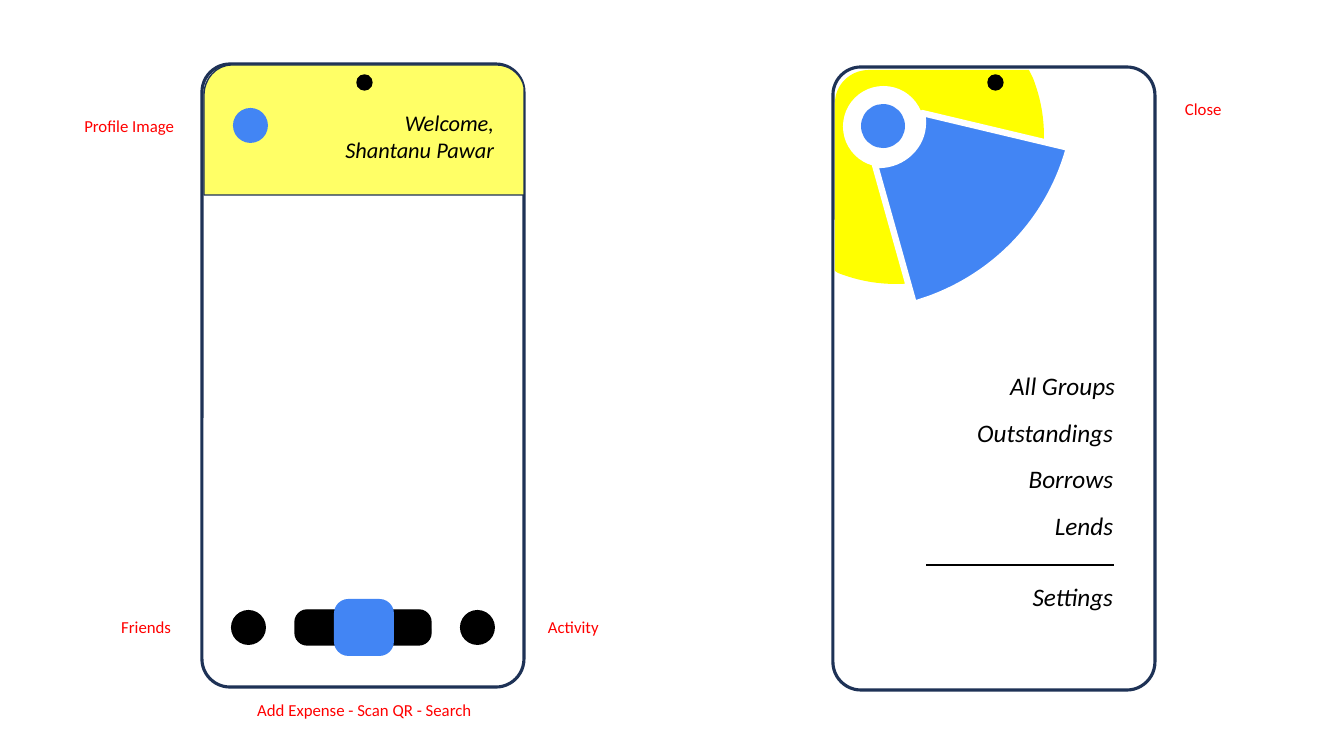
from dataclasses import dataclass

from lxml import etree
from pptx import Presentation
from pptx import util as u
from pptx.dml import color
from pptx.enum import shapes, text
from pptx.oxml import ns

EMU_PER_PX = 12192000 / 1344


def px(value):
    return u.Emu(round(value * EMU_PER_PX))


@dataclass(frozen=True)
class Theme:
    font: str = "Calibri"
    navy: str = "1E3256"
    blue: str = "4285F4"
    header: str = "FFFF66"
    fan: str = "FFFF00"
    black: str = "000000"
    white: str = "FFFFFF"
    red: str = "FF0000"
    note_size: int = 12
    welcome_size: int = 16
    menu_size: int = 18


class Wireframe:
    """Draws the elements of one slide; all lengths are in px."""

    def __init__(self, slide, theme):
        self.slide = slide
        self.theme = theme

    def paint(self, shape, fill, line=None, weight=1):
        shape.shadow.inherit = False
        shape.fill.solid()
        shape.fill.fore_color.rgb = color.RGBColor.from_string(fill)
        if line:
            shape.line.color.rgb = color.RGBColor.from_string(line)
            shape.line.width = u.Pt(weight)
        else:
            shape.line.fill.background()

    def circle(self, left, top, size, fill, line=None):
        shape = self.slide.shapes.add_shape(
            shapes.MSO_SHAPE.OVAL, px(left), px(top), px(size), px(size))
        self.paint(shape, fill, line)

    def rounded(self, left, top, width, height, radius, fill, line=None, weight=1):
        shape = self.slide.shapes.add_shape(
            shapes.MSO_SHAPE.ROUNDED_RECTANGLE,
            px(left), px(top), px(width), px(height))
        shape.adjustments[0] = radius
        self.paint(shape, fill, line, weight)

    def outline(self, start, segments, fill, line=None, weight=1):
        """A segment is (x, y) for a line or six numbers for a Bezier curve."""
        builder = self.slide.shapes.build_freeform(*map(px, start))
        builder.add_line_segments(
            [tuple(map(px, segment[-2:])) for segment in segments], close=True)
        shape = builder.convert_to_shape()
        # Turn the straight segments that stand for curves into Beziers
        straight = list(shape._element.iter(ns.qn("a:lnTo")))
        for element, segment in zip(straight, segments):
            if len(segment) == 6:
                curve = etree.Element(ns.qn("a:cubicBezTo"))
                for x, y in zip(segment[::2], segment[1::2]):
                    etree.SubElement(curve, ns.qn("a:pt"),
                                     x=str(px(x) - shape.left), y=str(px(y) - shape.top))
                element.getparent().replace(element, curve)
        self.paint(shape, fill, line, weight)

    def rule(self, start, end, line, weight):
        connector = self.slide.shapes.add_connector(
            shapes.MSO_CONNECTOR.STRAIGHT, *map(px, start + end))
        connector.line.color.rgb = color.RGBColor.from_string(line)
        connector.line.width = u.Pt(weight)
        etree.SubElement(connector._element.spPr, ns.qn("a:effectLst"))

    def label(self, left, top, width, height, lines, size, ink, align, italic=False):
        box = self.slide.shapes.add_textbox(px(left), px(top), px(width), px(height))
        frame = box.text_frame
        frame.word_wrap = True
        frame.auto_size = text.MSO_AUTO_SIZE.SHAPE_TO_FIT_TEXT
        for index, words in enumerate(lines):
            paragraph = frame.add_paragraph() if index else frame.paragraphs[0]
            paragraph.alignment = align
            run = paragraph.add_run()
            run.text = words
            run.font.name = self.theme.font
            run.font.size = u.Pt(size)
            run.font.italic = italic
            run.font.color.rgb = color.RGBColor.from_string(ink)

    def note(self, left, top, width, words, align):
        self.label(left, top, width, 30, [words],
                   self.theme.note_size, self.theme.red, align)

    def menu_item(self, left, top, words):
        self.label(left, top, 211, 40, [words], self.theme.menu_size,
                   self.theme.black, text.PP_ALIGN.RIGHT, italic=True)

    def phone(self, left, top):
        self.rounded(left, top, 322, 623, 0.087,
                     self.theme.white, self.theme.navy, 2.25)

    def camera(self, left):
        self.circle(left, 75, 15, self.theme.black, self.theme.black)


def draw_home(frame):
    theme = frame.theme
    # Phone with its header
    frame.phone(202, 64)
    frame.outline((232, 65), [
        (497, 65), (509, 65, 519, 73, 523, 83), (524, 87), (524, 195),
        (204, 195), (204, 95), (204, 79, 216, 65, 232, 65),
    ], theme.header, theme.navy)
    frame.camera(357)
    frame.circle(233, 108, 35, theme.blue)
    frame.label(329, 104, 175, 65, ["Welcome,", "Shantanu Pawar"],
                theme.welcome_size, theme.black, text.PP_ALIGN.RIGHT, italic=True)
    # Bottom bar
    frame.rounded(295, 610, 136, 35, 0.347, theme.black, theme.black)
    frame.rounded(334, 599, 60, 57, 0.254, theme.blue)
    for left in (231, 460):
        frame.circle(left, 610, 35, theme.black)
    # Notes around the phone
    for left, top, width, words, align in (
        (73, 111, 111, "Profile Image", text.PP_ALIGN.RIGHT),
        (102, 612, 79, "Friends", text.PP_ALIGN.RIGHT),
        (538, 612, 79, "Activity", text.PP_ALIGN.LEFT),
        (233, 695, 263, "Add Expense - Scan QR - Search", text.PP_ALIGN.CENTER),
    ):
        frame.note(left, top, width, words, align)


def draw_menu(frame):
    theme = frame.theme
    # Phone with the fan behind the profile button
    frame.phone(833, 67)
    frame.outline((869, 70), [
        (1029, 70), (1033, 78), (1040, 96, 1044, 115, 1044, 136),
        (1044, 218, 978, 284, 896, 284), (875, 284, 856, 280, 838, 273),
        (835, 271), (835, 103), (835, 85, 850, 70, 869, 70),
    ], theme.fan)
    frame.camera(988)
    frame.circle(843, 86, 81, theme.white)
    frame.circle(861, 104, 44, theme.blue)
    # Raised wedge of the fan
    frame.outline((922, 113), [
        (1069, 148), (1050, 218, 998, 274, 929, 299), (914, 304), (875, 165),
        (879, 165), (903, 165, 923, 146, 923, 123), (923, 120, 923, 117, 922, 113),
    ], theme.blue, theme.white, 4.5)
    # Menu entries
    entries = ((914, "All Groups"), (912, "Outstandings"), (912, "Borrows"), (912, "Lends"))
    for row, (left, words) in enumerate(entries):
        frame.menu_item(left, 365 + (93 * row + 1) // 2, words)
    frame.rule((1114, 565), (926, 565), theme.black, 1.5)
    frame.menu_item(912, 576, "Settings")
    frame.note(1175, 94, 119, "Close", text.PP_ALIGN.LEFT)


def main():
    presentation = Presentation()
    presentation.slide_width, presentation.slide_height = px(1344), px(756)
    slide = presentation.slides.add_slide(presentation.slide_layouts[6])
    frame = Wireframe(slide, Theme())
    draw_home(frame)
    draw_menu(frame)
    presentation.save("out.pptx")


if __name__ == "__main__":
    main()
